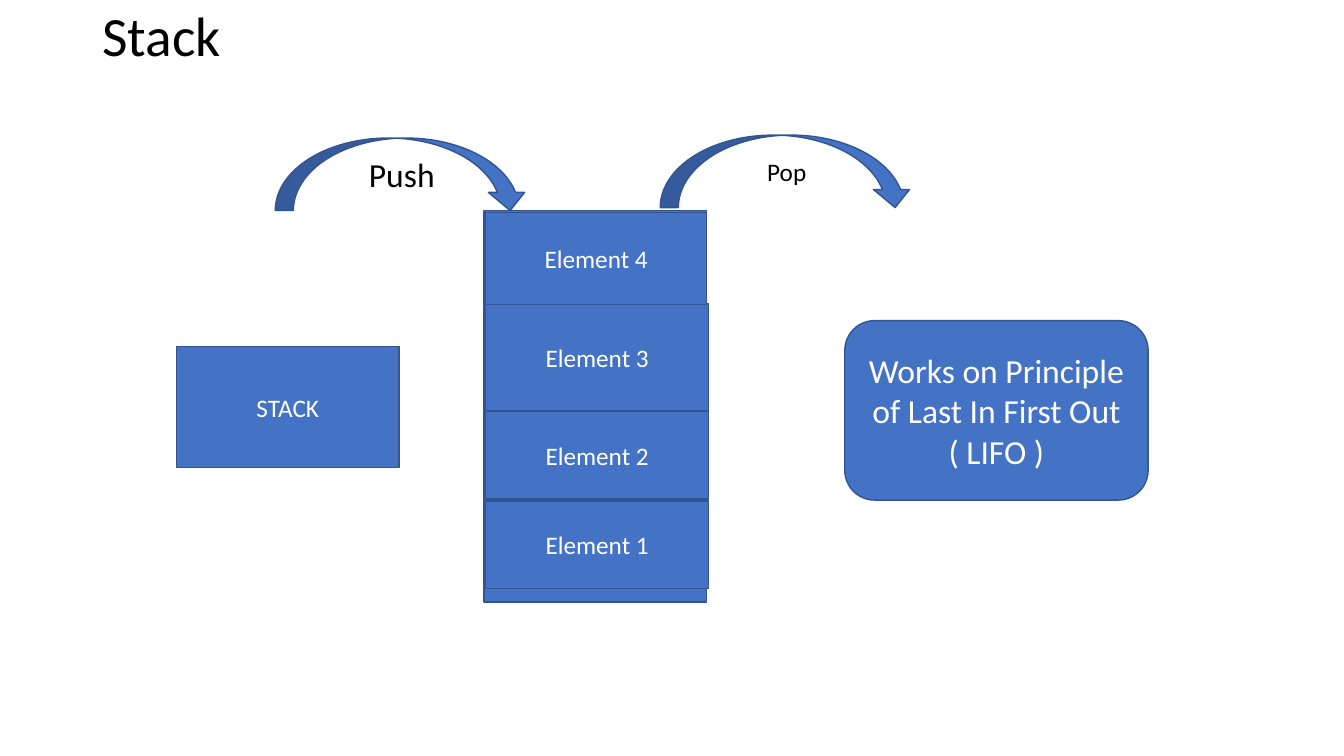
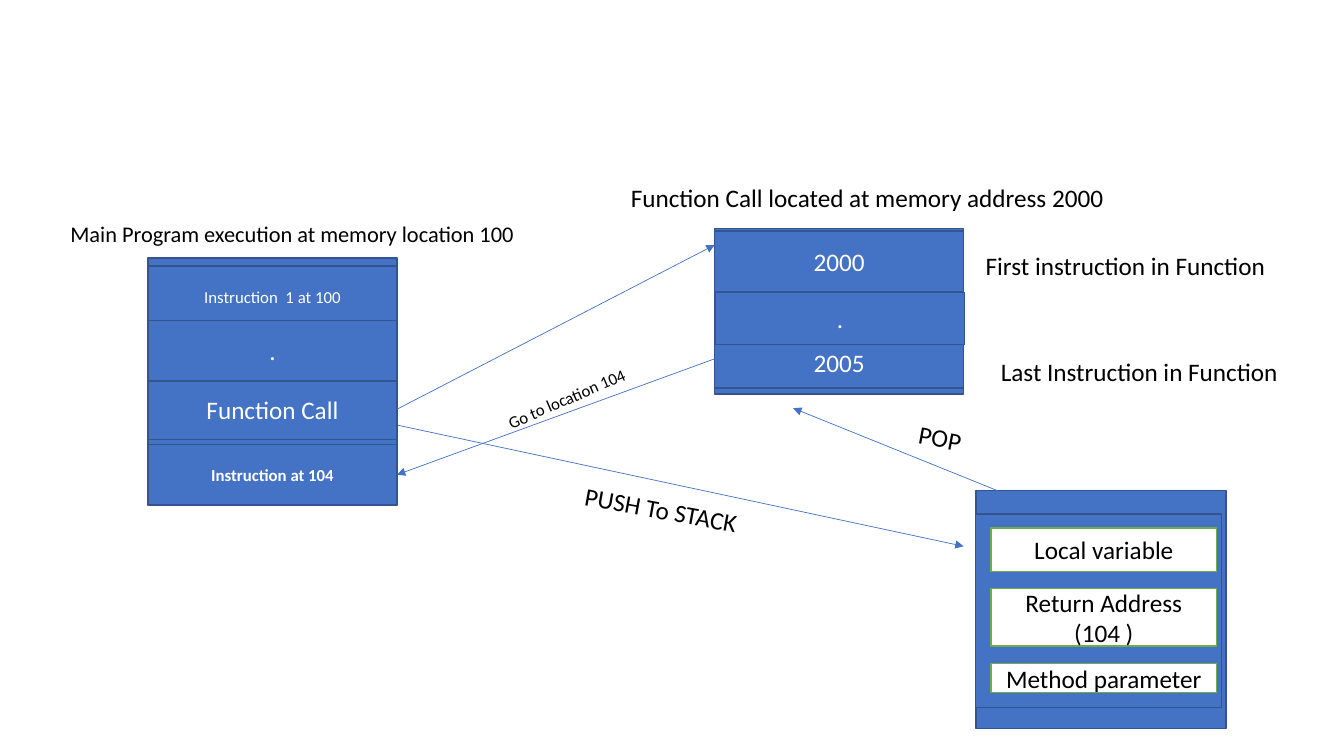
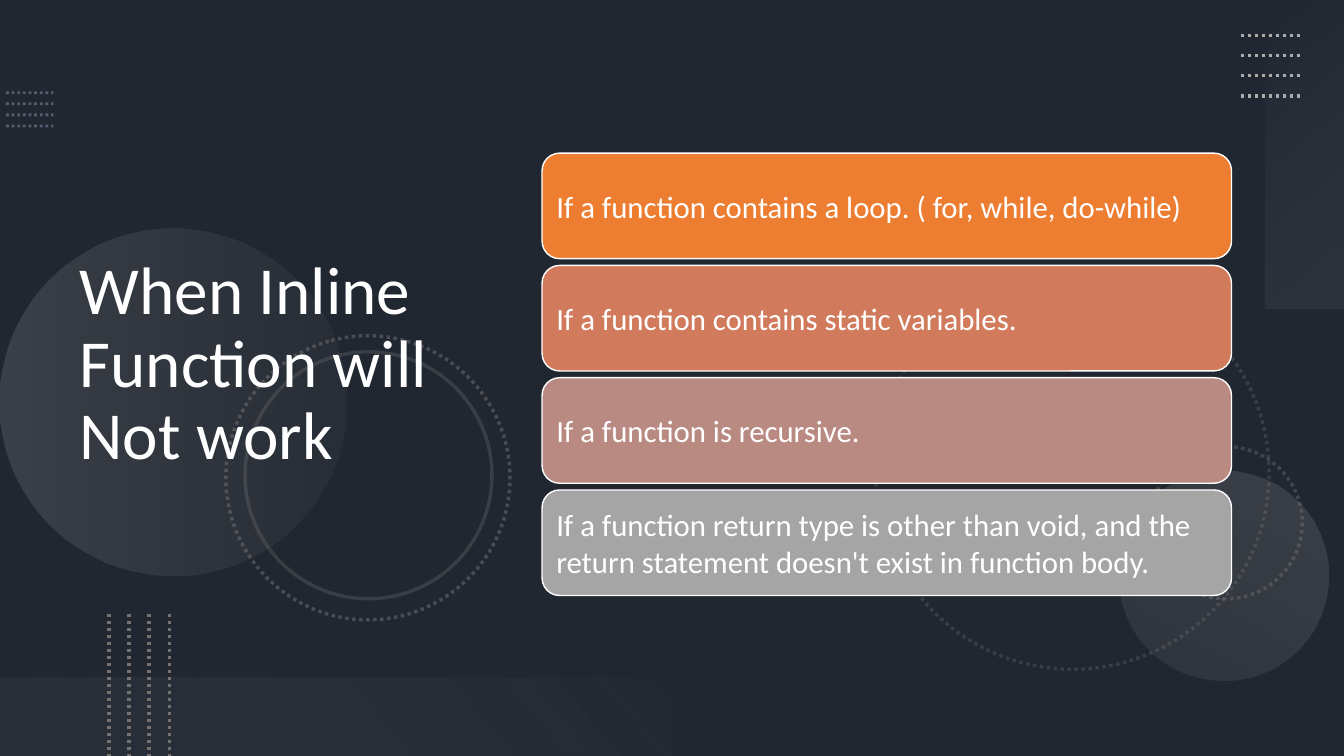
from lxml.etree import SubElement
from pptx import Presentation
from pptx.dml.color import RGBColor
from pptx.enum.dml import MSO_LINE
from pptx.enum.shapes import MSO_CONNECTOR, MSO_SHAPE
from pptx.enum.text import MSO_ANCHOR, PP_ALIGN
from pptx.oxml.ns import qn
from pptx.util import Pt

FONT = "Calibri"
COLOURS = {
    name: RGBColor.from_string(value)
    for name, value in {
        "blue": "4472C4",
        "outline": "325491",
        "green": "70AD47",
        "white": "FFFFFF",
        "black": "000000",
        "slate": "44546A",
        "steel": "8497B0",
        "grey": "767171",
        "silver": "AFABAB",
        "mist": "F5F5F5",
        "orange": "ED7D31",
        "terracotta": "D17B5C",
        "rose": "B98A82",
        "ash": "A5A5A5",
    }.items()
}


def add_box(slide, kind, left, top, width, height, text="", size=18,
            fill="blue", line="outline", colour="white", align=PP_ALIGN.CENTER):
    shape = slide.shapes.add_shape(kind, Pt(left), Pt(top), Pt(width), Pt(height))
    shape.shadow.inherit = False
    if fill:
        shape.fill.solid()
        shape.fill.fore_color.rgb = COLOURS[fill]
    else:
        shape.fill.background()
    if line:
        shape.line.color.rgb = COLOURS[line]
        shape.line.width = Pt(1)
    else:
        shape.line.fill.background()
    if text:
        frame = shape.text_frame
        frame.text = text
        frame.word_wrap = True
        frame.vertical_anchor = MSO_ANCHOR.MIDDLE
        for paragraph in frame.paragraphs:
            paragraph.alignment = align
            paragraph.font.name = FONT
            paragraph.font.size = Pt(size)
            paragraph.font.color.rgb = COLOURS[colour]
    return shape


def add_line(slide, start_x, start_y, end_x, end_y, colour="blue", width=0.5):
    connector = slide.shapes.add_connector(
        MSO_CONNECTOR.STRAIGHT, Pt(start_x), Pt(start_y), Pt(end_x), Pt(end_y))
    connector.line.color.rgb = COLOURS[colour]
    connector.line.width = Pt(width)
    SubElement(connector._element.spPr, qn("a:effectLst"))
    return connector


presentation = Presentation()
presentation.slide_width = Pt(960)
presentation.slide_height = Pt(540)
title_only, blank = presentation.slide_layouts[5], presentation.slide_layouts[6]
stack_slide, call_slide, inline_slide = [
    presentation.slides.add_slide(layout) for layout in (title_only, blank, title_only)]

for slide, text, left, top, width, height, size, colour in [
    (stack_slide, "Stack", 66, 9.4, 828, 36, 39.6, "black"),
    (inline_slide, "When Inline Function will Not work", 49.7, 39, 330.5, 444, 48, "white"),
]:
    title = slide.shapes.title
    title.left, title.top, title.width, title.height = Pt(left), Pt(top), Pt(width), Pt(height)
    title.text_frame.text = text
    title.text_frame.word_wrap = True
    title.text_frame.vertical_anchor = MSO_ANCHOR.MIDDLE
    paragraph = title.text_frame.paragraphs[0]
    paragraph.alignment = PP_ALIGN.LEFT
    paragraph.line_spacing = 0.9
    paragraph.font.name = FONT
    paragraph.font.size = Pt(size)
    paragraph.font.color.rgb = COLOURS[colour]

add_box(stack_slide, MSO_SHAPE.RECTANGLE, 345.6, 150.5, 159.1, 279.4)
for number, top, width, height in [
    (1, 357.8, 159.1, 62.6),
    (2, 293.8, 159.1, 62.6),
    (3, 216.7, 159.1, 77),
    (4, 151.9, 157.7, 65.5),
]:
    add_box(stack_slide, MSO_SHAPE.RECTANGLE, 347, top, width, height, f"Element {number}")
for text, left, top, size in [("Pop", 471.6, 96.5, 18), ("Push", 196.6, 98.6, 24)]:
    add_box(stack_slide, MSO_SHAPE.CURVED_DOWN_ARROW, left, top, 180.7, 51.8,
            text, size, colour="black")
add_box(stack_slide, MSO_SHAPE.ROUNDED_RECTANGLE, 603.4, 229, 216.7, 128.2,
        "Works on Principle of Last In First Out\n( LIFO )", 24)
add_box(stack_slide, MSO_SHAPE.RECTANGLE, 126, 247.7, 159.1, 86.4, "STACK")

call_boxes = {}
for text, left, top, width, height, size in [
    ("", 105.8, 184.3, 177.8, 176.4, 18),
    ("Instruction  1 at 100", 105.8, 190.1, 177.8, 43.2, 12),
    ("Function Call", 105.8, 270.7, 177.8, 43.2, 18),
    (".", 105.8, 229, 177.8, 43.2, 18),
    ("Instruction at 104", 105.8, 317.5, 177.8, 43.2, 12),
    ("", 510.5, 163.4, 177.8, 118.1, 18),
    ("2000", 510.5, 164.9, 177.8, 43.2, 18),
    ("2005", 510.5, 239.8, 177.8, 37.4, 18),
    (".", 511.2, 208.8, 177.8, 37.4, 18),
    ("", 697, 350.6, 178.6, 169.9, 18),
    ("", 697, 367.2, 175.7, 138.2, 18),
]:
    call_boxes[text] = add_box(
        call_slide, MSO_SHAPE.RECTANGLE, left, top, width, height, text, size)
call_boxes["Instruction at 104"].text_frame.paragraphs[0].font.bold = True

for text, top, height in [
    ("Local variable", 377.3, 31),
    ("Return Address (104 )", 420.5, 41),
    ("Method parameter", 473.8, 20.9),
]:
    add_box(call_slide, MSO_SHAPE.RECTANGLE, 707.8, top, 161.3, height, text,
            fill="white", line="green", colour="black")

arrows = [
    add_line(call_slide, *ends)
    for ends in [
        (283.6, 292.3, 510.5, 175),
        (510.5, 256.3, 283.6, 339.1),
        (284.4, 303.8, 688.3, 390.2),
        (712.8, 350.6, 566.6, 291.6),
    ]
]
arrows[0].begin_connect(call_boxes["Function Call"], 3)
arrows[1].end_connect(call_boxes["Instruction at 104"], 3)
for arrow in arrows:
    SubElement(arrow.line._get_or_add_ln(), qn("a:tailEnd"), type="triangle")

for text, left, top, width, height, size, rotation in [
    ("First instruction in Function", 697, 175, 218.9, 29, 18, 0),
    ("Last Instruction in Function", 707.8, 250.6, 257, 29, 18, 0),
    ("Main Program execution at memory location 100", 43.2, 153.4, 344.9, 26.6, 16, 0),
    ("Function Call located at memory address 2000", 443.5, 126.7, 372.2, 29, 18, 0),
    ("PUSH To STACK", 409.7, 354.2, 175.7, 29, 18, 10.4),
    ("POP", 648.7, 303.8, 104.4, 29, 18, 10.7),
    ("Go to location 104", 352.8, 273.6, 104.4, 21.6, 12, 336.6),
]:
    label = call_slide.shapes.add_textbox(Pt(left), Pt(top), Pt(width), Pt(height))
    label.rotation = rotation
    label.text_frame.word_wrap = True
    label.text_frame.text = text
    paragraph = label.text_frame.paragraphs[0]
    paragraph.font.name = FONT
    paragraph.font.size = Pt(size)
    paragraph.font.color.rgb = COLOURS["black"]

inline_slide.background.fill.solid()
inline_slide.background.fill.fore_color.rgb = COLOURS["slate"]
shade = add_box(inline_slide, MSO_SHAPE.RECTANGLE, 0, 0, 960, 540, fill="black", line=None)
for colour in shade._element.spPr.iter(qn("a:srgbClr")):
    SubElement(colour, qn("a:alpha"), val="53000")

for left, top, diameter, dash, opacity in [
    (625.7, 197.3, 280.8, MSO_LINE.ROUND_DOT, 30),
    (821.5, 319, 108.7, MSO_LINE.ROUND_DOT, 40),
    (161.3, 239.8, 203, MSO_LINE.ROUND_DOT, 50),
    (175, 251.3, 176.4, MSO_LINE.SOLID, 30),
]:
    ring = add_box(inline_slide, MSO_SHAPE.OVAL, left, top, diameter, diameter,
                   fill=None, line="grey")
    ring.rotation = 75
    ring.line.width = Pt(2.5)
    ring.line.dash_style = dash
    for colour in ring._element.spPr.iter(qn("a:srgbClr")):
        SubElement(colour, qn("a:alpha"), val=str(opacity * 1000))

for kind, left, top, width, height, rotation, angle, stops in [
    (MSO_SHAPE.OVAL, 0, 163.4, 247.7, 247.7, 270, 270,
     [(0, "silver", 20), (1, "grey", 10)]),
    (MSO_SHAPE.OVAL, 799.2, 336.2, 149.8, 149.8, 210, 270,
     [(0, "silver", 10), (1, "silver", 20)]),
    (MSO_SHAPE.RECTANGLE, 822.2, 82.1, 220.3, 56.2, 270, 220,
     [(0, "mist", 0), (1, "silver", 10)]),
    (MSO_SHAPE.RECTANGLE, 0, 483.8, 480, 56.2, 180, 220,
     [(0.1, "grey", 10), (1, "mist", 0)]),
]:
    glow = add_box(inline_slide, kind, left, top, width, height, line=None)
    glow.rotation = rotation
    glow.fill.gradient()
    glow.fill.gradient_angle = angle
    for stop, (position, colour, opacity) in zip(glow.fill.gradient_stops, stops):
        stop.position = position
        stop.color.rgb = COLOURS[colour]
    for colour, (_, _, opacity) in zip(glow._element.spPr.iter(qn("a:srgbClr")), stops):
        SubElement(colour, qn("a:alpha"), val=str(opacity * 1000))

for left, top, run, rise, step_x, step_y, colour, width, opacity in [
    (4.3, 66.2, 33.8, 0, 0, 7.92, "steel", 2, 50),
    (886.3, 25.2, 43.2, 0, 0, 14.4, "silver", 2.5, 100),
    (77.8, 438.5, 0, 101.5, 14.4, 0, "grey", 2.5, 100),
]:
    for index in range(4):
        x, y = left + index * step_x, top + index * step_y
        dots = add_line(inline_slide, x, y, x + run, y + rise, colour, width)
        dots.line.dash_style = MSO_LINE.ROUND_DOT
        for element in dots._element.spPr.iter(qn("a:srgbClr")):
            SubElement(element, qn("a:alpha"), val=str(opacity * 1000))

inline_slide.shapes._spTree.append(inline_slide.shapes.title._element)

for index, (text, fill) in enumerate([
    ("If a function contains a loop. ( for, while, do-while)", "orange"),
    ("If a function contains static variables.", "terracotta"),
    ("If a function is recursive.", "rose"),
    ("If a function return type is other than void, and the return statement "
     "doesn't exist in function body.", "ash"),
]):
    card = add_box(inline_slide, MSO_SHAPE.ROUNDED_RECTANGLE, 387.2, 109.4 + index * 80.2,
                   492.5, 75.4, text, 22, fill, "white", align=PP_ALIGN.LEFT)
    card.text_frame.margin_left = card.text_frame.margin_right = Pt(6.5)

presentation.save("out.pptx")
